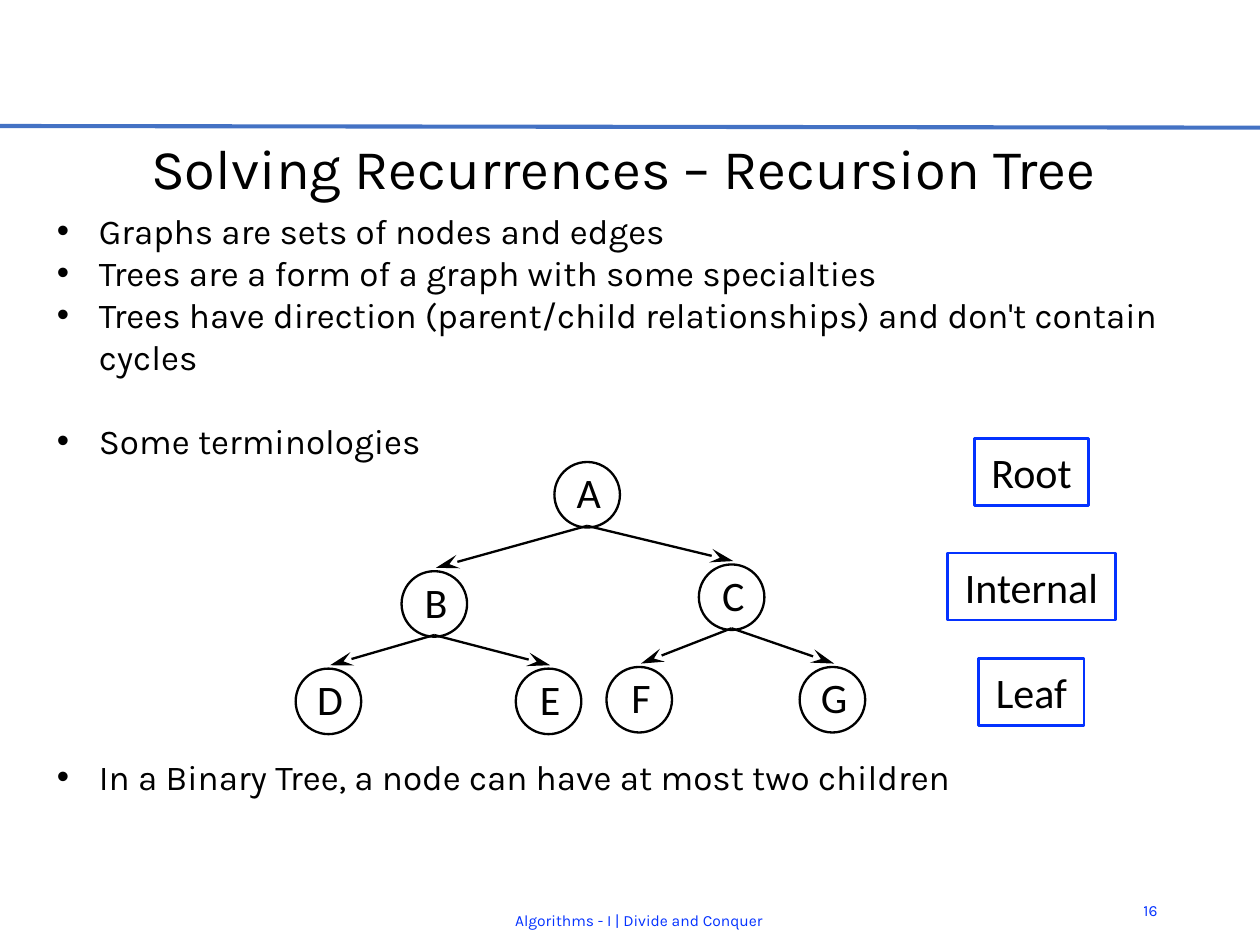
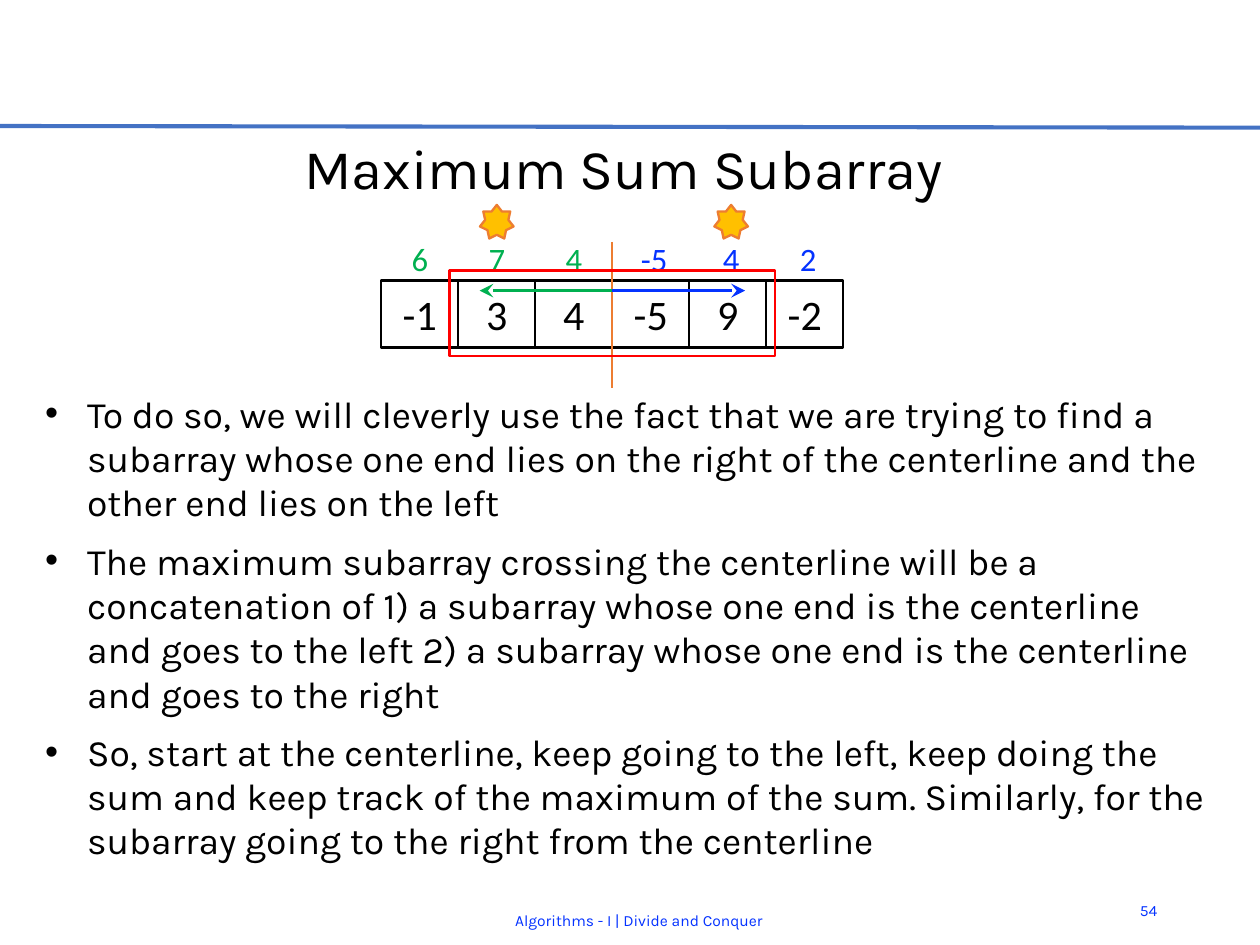
from pptx import Presentation
from pptx.dml.color import RGBColor
from pptx.enum.shapes import MSO_CONNECTOR, MSO_SHAPE
from pptx.enum.text import MSO_ANCHOR, PP_ALIGN
from pptx.oxml.ns import qn
from pptx.util import Inches, Pt
from lxml.etree import SubElement

COLORS = {
    "black": "000000", "blue": "0432FF", "green": "00B050", "red": "FF0000",
    "orange": "ED7D31", "gold": "FFC000", "rule": "4472C4",
}
BODY_FONT, DIAGRAM_FONT = "Karla", "Calibri"
SLIDE_WIDTH = 7.5
SLIDE_HEIGHT = SLIDE_WIDTH * 3 / 4
FOOTER = "Algorithms - I | Divide and Conquer"
FOOTER_SIZE = 6.75

# (text, space before in points)
TREE_POINTS = [
    ("Graphs are sets of nodes and edges", 0),
    ("Trees are a form of a graph with some specialties", 0),
    ("Trees have direction (parent/child relationships) and don't contain cycles", 0),
    ("Some terminologies", 18),
    ("In a Binary Tree, a node can have at most two children", 126),
]
NODE_SIZE = 0.39
NODES = {  # left, top
    "A": (3.3, 2.75), "B": (2.39, 3.4), "C": (4.16, 3.36), "D": (1.76, 3.98),
    "E": (3.07, 3.98), "F": (3.61, 3.97), "G": (4.76, 3.97),
}
CHILDREN = {"A": "BC", "B": "DE", "C": "FG"}
TERMS_CENTER = 6.14
TERMS = [("Root", 2.61, 0.68), ("Internal", 3.29, 1), ("Leaf", 3.92, 0.63)]  # top, width

SUBARRAY_POINTS = [
    ("To do so, we will cleverly use the fact that we are trying to find a subarray "
     "whose one end lies on the right of the centerline and the other end lies on the left", 0),
    ("The maximum subarray crossing the centerline will be a concatenation of "
     "1) a subarray whose one end is the centerline and goes to the left "
     "2) a subarray whose one end is the centerline and goes to the right", 4),
    ("So, start at the centerline, keep going to the left, keep doing the sum and keep track "
     "of the maximum of the sum. Similarly, for the subarray going to the right "
     "from the centerline", 4),
]
ARRAY = ["-1", "3", "4", "-5", "9", "-2"]
RUNNING_SUMS = ["6", "7", "4", "-5", "4", "2"]
BEST_ENDS = (1, 4)
ARRAY_LEFT, ARRAY_TOP, ARRAY_WIDTH = 2.27, 1.67, 2.75
CELL_WIDTH, CELL_HEIGHT = ARRAY_WIDTH / len(ARRAY), 0.4
HALF = len(ARRAY) // 2
CENTERLINE = ARRAY_LEFT + HALF * CELL_WIDTH


def rgb(name):
    return RGBColor.from_string(COLORS[name])


def add_run(paragraph, text, size, font, color="black"):
    run = paragraph.add_run()
    run.text = text
    run.font.size, run.font.name = Pt(size), font
    run.font.color.rgb = rgb(color)


def set_text(shape, text, size, font, color="black", align=PP_ALIGN.CENTER, wrap=True):
    """Write one vertically centred line with no margins."""
    frame = shape.text_frame
    frame.word_wrap = wrap
    frame.vertical_anchor = MSO_ANCHOR.MIDDLE
    frame.margin_left = frame.margin_right = frame.margin_top = frame.margin_bottom = 0
    paragraph = frame.paragraphs[0]
    paragraph.alignment = align
    add_run(paragraph, text, size, font, color)


def add_label(slide, box, text, size, font, color="black", align=PP_ALIGN.CENTER):
    textbox = slide.shapes.add_textbox(*map(Inches, box))
    set_text(textbox, text, size, font, color, align)


def add_outline(slide, kind, box, line="black", fill=None, text=None):
    shape = slide.shapes.add_shape(kind, *map(Inches, box))
    shape.shadow.inherit = False
    if fill:
        shape.fill.solid()
        shape.fill.fore_color.rgb = rgb(fill)
    else:
        shape.fill.background()
    shape.line.color.rgb, shape.line.width = rgb(line), Pt(1)
    if text:
        set_text(shape, text, 18, DIAGRAM_FONT, wrap=False)


def add_line(slide, start, end, color, width=1, arrow_length=None):
    line = slide.shapes.add_connector(MSO_CONNECTOR.STRAIGHT, *map(Inches, (*start, *end)))
    line.line.color.rgb, line.line.width = rgb(color), Pt(width)
    properties = line._element.spPr
    if arrow_length:
        SubElement(properties.find(qn("a:ln")), qn("a:tailEnd"),
                   type="stealth", w="med", len=arrow_length)
    SubElement(properties, qn("a:effectLst"))


def add_bullets(slide, box, points, size, line_spacing, space_after=0):
    frame = slide.shapes.add_textbox(*map(Inches, box)).text_frame
    frame.word_wrap = True
    for index, (text, space_before) in enumerate(points):
        paragraph = frame.add_paragraph() if index else frame.paragraphs[0]
        properties = paragraph._p.get_or_add_pPr()
        properties.set("marL", str(Inches(0.25)))
        properties.set("indent", str(-Inches(0.25)))
        SubElement(properties, qn("a:buFont"), typeface="Arial")
        SubElement(properties, qn("a:buChar"), char="•")
        paragraph.space_before, paragraph.space_after = Pt(space_before), Pt(space_after)
        paragraph.line_spacing = Pt(line_spacing)
        add_run(paragraph, text, size, BODY_FONT)


def add_base_slide(presentation, title, number):
    slide = presentation.slides.add_slide(presentation.slide_layouts[6])
    add_line(slide, (0, 0.75), (SLIDE_WIDTH, 0.76), "rule", 1.75)
    add_label(slide, (0.24, 0.79, 6.94, 0.41), title, 24, BODY_FONT)
    add_label(slide, (6.62, 5.27, 0.27, 0.3), number, FOOTER_SIZE, BODY_FONT, "blue",
              PP_ALIGN.RIGHT)
    add_label(slide, (1.58, 5.33, 4.45, 0.3), FOOTER, FOOTER_SIZE, BODY_FONT, "blue")
    return slide


def build_tree_slide(presentation):
    slide = add_base_slide(presentation, "Solving Recurrences – Recursion Tree", "16")
    add_bullets(slide, (0.24, 1.2, 7.05, 3.7), TREE_POINTS, 15, 18)
    for name, (left, top) in NODES.items():
        add_outline(slide, MSO_SHAPE.OVAL, (left, top, NODE_SIZE, NODE_SIZE))
        add_label(slide, (left + 0.03, top - 0.02, 0.35, 0.4), name, 18, DIAGRAM_FONT)
    radius = NODE_SIZE / 2
    for parent, children in CHILDREN.items():
        left, top = NODES[parent]
        start = (left + radius, top + NODE_SIZE - 0.01)
        for child in children:
            child_left, child_top = NODES[child]
            end = (child_left + radius + 0.01, child_top - 0.02)
            add_line(slide, start, end, "black", arrow_length="lg")
    for term, top, width in TERMS:
        box = (TERMS_CENTER - width / 2, top, width, 0.4)
        add_outline(slide, MSO_SHAPE.RECTANGLE, box, "blue", text=term)


def build_subarray_slide(presentation):
    slide = add_base_slide(presentation, "Maximum Sum Subarray", "54")
    add_bullets(slide, (0.17, 2.28, 7.15, 2.92), SUBARRAY_POINTS, 16, 19, 2)
    for index, value in enumerate(ARRAY):
        box = (ARRAY_LEFT + index * CELL_WIDTH, ARRAY_TOP, CELL_WIDTH, CELL_HEIGHT)
        add_outline(slide, MSO_SHAPE.RECTANGLE, box, text=value)
    add_line(slide, (CENTERLINE, 1.44), (CENTERLINE, 2.31), "orange")
    for reach, color in ((-0.79, "green"), (0.79, "blue")):
        end = (CENTERLINE + reach, 1.73)
        add_line(slide, (CENTERLINE, 1.73), end, color, 1.5, arrow_length="med")
    for index, total in enumerate(RUNNING_SUMS):
        right_half = index >= HALF
        left = ARRAY_LEFT + index * CELL_WIDTH + (0.02 if right_half else 0)
        color = "blue" if right_half else "green"
        add_label(slide, (left, 1.37, CELL_WIDTH, 0.34), total, 14, DIAGRAM_FONT, color)
        if index in BEST_ENDS:
            star = (left + CELL_WIDTH / 2 - 0.1, 1.22, 0.2, 0.2)
            add_outline(slide, MSO_SHAPE.STAR_7_POINT, star, "orange", "gold")
    add_outline(slide, MSO_SHAPE.RECTANGLE, (CENTERLINE - 0.97, 1.61, 1.94, 0.51), "red")


def main():
    presentation = Presentation()
    presentation.slide_width = Inches(SLIDE_WIDTH)
    presentation.slide_height = Inches(SLIDE_HEIGHT)
    build_tree_slide(presentation)
    build_subarray_slide(presentation)
    presentation.save("out.pptx")


if __name__ == "__main__":
    main()
